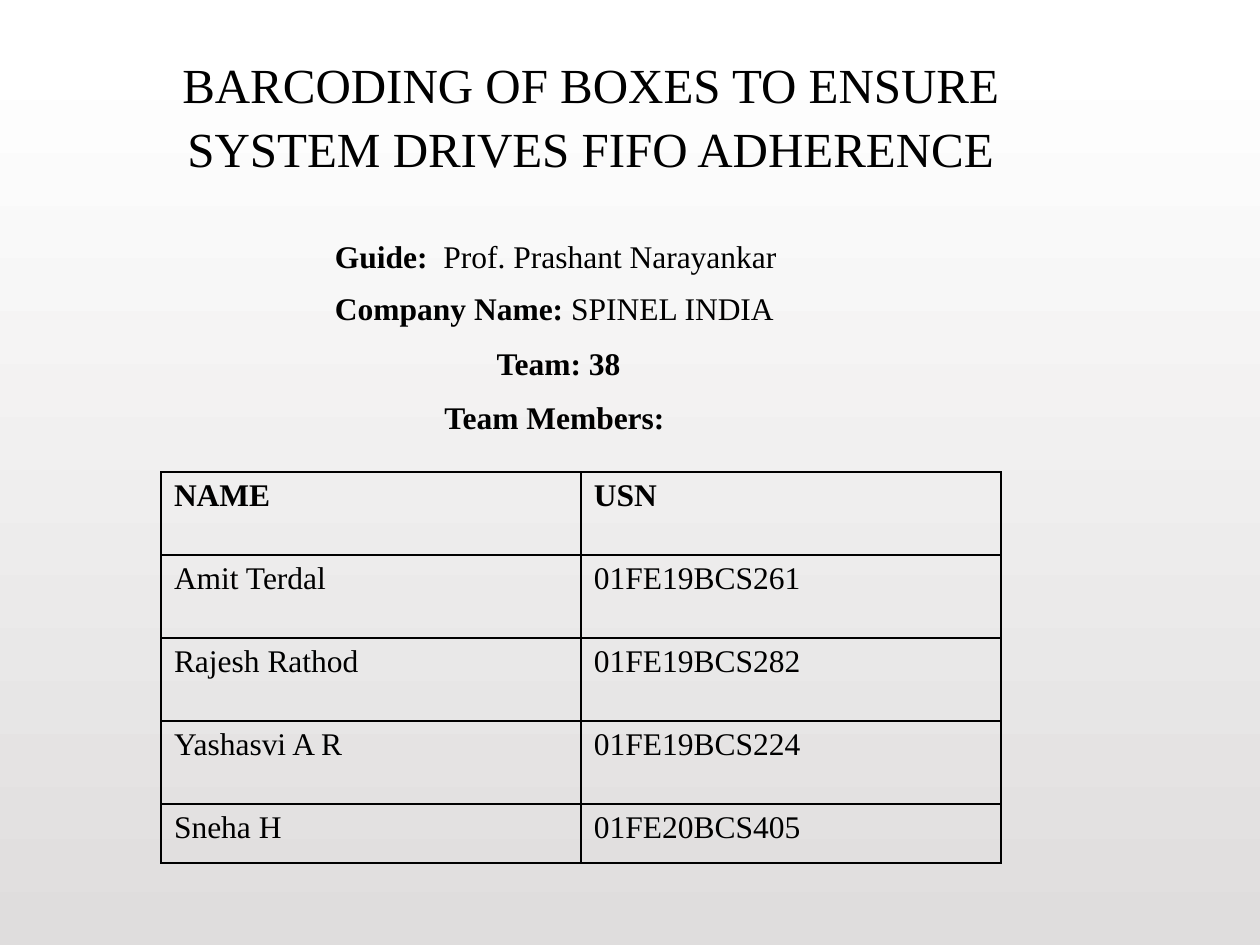
from pptx import Presentation
from pptx.dml.color import RGBColor
from pptx.enum.text import MSO_ANCHOR, PP_ALIGN
from pptx.oxml import parse_xml
from pptx.oxml.ns import nsdecls
from pptx.util import Emu, Pt

COLORS = {"ink": "000000", "top": "FFFFFF", "bottom": "DFDDDD"}
FONT = "Times New Roman"


def px(length):
    return Emu(round(length * 914400 / 126))


class SlideBuilder:
    def __init__(self, slide):
        self.slide = slide

    def color(self, name):
        return RGBColor.from_string(COLORS[name])

    def style(self, font, size, bold=None):
        font.name = FONT
        font.size = Pt(size)
        font.bold = bold
        font.color.rgb = self.color("ink")

    def background(self):
        fill = self.slide.background.fill
        fill.gradient()
        fill.gradient_angle = 270
        for stop, position, name in zip(fill.gradient_stops, (0.05, 1), ("top", "bottom")):
            stop.position = position
            stop.color.rgb = self.color(name)

    def text(self, left, top, width, height, lines, size):
        frame = self.slide.shapes.add_textbox(px(left), px(top), px(width), px(height)).text_frame
        frame.word_wrap = True
        frame.vertical_anchor = MSO_ANCHOR.TOP
        frame.margin_left = frame.margin_right = px(13)
        frame.margin_top = frame.margin_bottom = px(13)
        for index, (label, value, centered) in enumerate(lines):
            line = frame.paragraphs[0] if index == 0 else frame.add_paragraph()
            if index:
                line.space_before = Pt(8)
            if centered:
                line.alignment = PP_ALIGN.CENTER
                line.line_spacing = 1.08
            self.style(line.font, size)
            for words, bold in ((label, True), (value, False)):
                if words:
                    run = line.add_run()
                    run.text = words
                    self.style(run.font, size, bold)

    def border(self, cell):
        properties = cell._tc.get_or_add_tcPr()
        for position, side in enumerate(("lnL", "lnR", "lnT", "lnB")):
            properties.insert(position, parse_xml(
                f'<a:{side} {nsdecls("a")} w="12700"><a:solidFill>'
                f'<a:srgbClr val="{COLORS["ink"]}"/></a:solidFill></a:{side}>'))

    def table(self, left, top, widths, heights, rows, size):
        grid = self.slide.shapes.add_table(
            len(rows), len(widths), px(left), px(top), px(sum(widths)), px(sum(heights))).table
        grid.first_row = grid.horz_banding = False
        for column, width in zip(grid.columns, widths):
            column.width = px(width)
        for row_index, (row, height, values) in enumerate(zip(grid.rows, heights, rows)):
            row.height = px(height)
            for cell, value in zip(row.cells, values):
                cell.text = value
                cell.margin_left = cell.margin_right = px(13)
                cell.margin_top = cell.margin_bottom = px(6)
                cell.fill.background()
                self.border(cell)
                self.style(cell.text_frame.paragraphs[0].font, size, row_index == 0)


def main():
    deck = Presentation()
    deck.slide_width, deck.slide_height = px(1260), px(945)
    builder = SlideBuilder(deck.slides.add_slide(deck.slide_layouts[6]))
    builder.background()

    title = "BARCODING OF BOXES TO ENSURE SYSTEM DRIVES FIFO ADHERENCE"
    builder.text(164, 37, 853, 246, [("", title, True)], 28)

    project = [
        ("Guide:", "  Prof. Prashant Narayankar", False),
        ("Company Name:", " SPINEL INDIA", False),
        ("Team: 38", "", True),
        ("Team Members: ", "", True),
    ]
    builder.text(322, 224, 473, 118, project, 18)

    members = [
        ("NAME", "USN"),
        ("Amit Terdal", "01FE19BCS261"),
        ("Rajesh Rathod", "01FE19BCS282"),
        ("Yashasvi A R", "01FE19BCS224"),
        ("Sneha H", "01FE20BCS405"),
    ]
    builder.table(161, 472, [420] * 2, [83] * 4 + [59], members, 18)
    deck.save("out.pptx")


if __name__ == "__main__":
    main()
